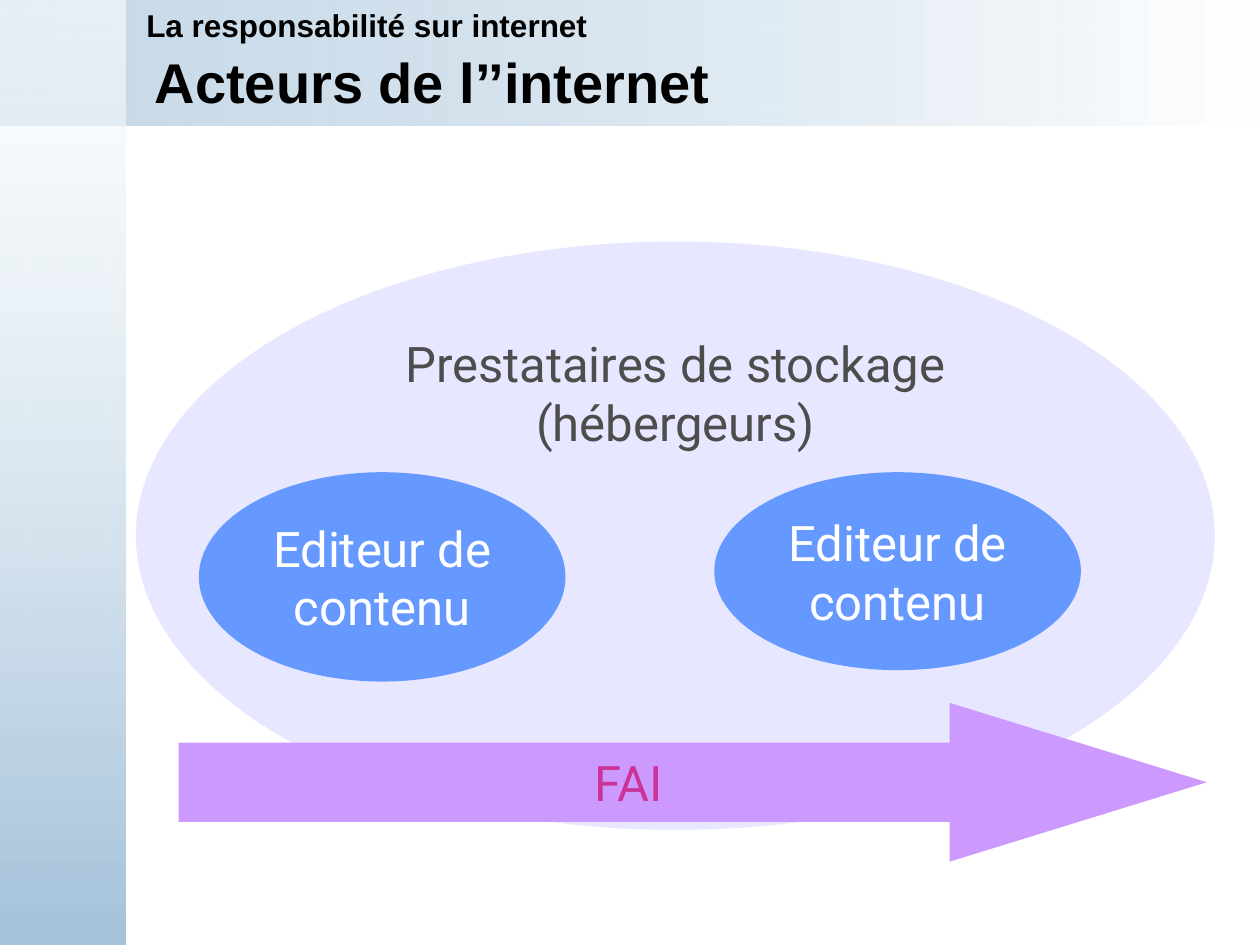
from lxml import etree
from pptx import Presentation
from pptx.dml.color import RGBColor
from pptx.enum.shapes import MSO_SHAPE
from pptx.enum.text import MSO_ANCHOR, PP_ALIGN
from pptx.oxml.ns import qn
from pptx.util import Cm, Pt

RECT, OVAL, ARROW = MSO_SHAPE.RECTANGLE, MSO_SHAPE.OVAL, MSO_SHAPE.RIGHT_ARROW
TOP, MIDDLE = MSO_ANCHOR.TOP, MSO_ANCHOR.MIDDLE
LEFT, CENTER = PP_ALIGN.LEFT, PP_ALIGN.CENTER

WIDTH, HEIGHT, BAND = 25.4, 19.05, 2.54
BAND_BLUE, WHITE = "A5C3DB", "FFFFFF"


def rgb(value):
    return RGBColor.from_string(value)


def set_alpha(fill_parent, percent):
    """Set the opacity of the first colour found below the element."""
    color = next(fill_parent.iter(qn("a:srgbClr")))
    etree.SubElement(color, qn("a:alpha")).set("val", str(percent * 1000))


def add_plain_shape(slide, kind, box):
    sp = slide.shapes.add_shape(kind, *map(Cm, box))
    sp.shadow.inherit = False
    sp.line.fill.background()
    return sp


def add_gradient_band(slide, box, colors, angle, start_alpha):
    sp = add_plain_shape(slide, RECT, box)
    sp.fill.gradient()
    sp.fill.gradient_angle = angle
    for stop, color, position in zip(sp.fill.gradient_stops, colors, (0, 1)):
        stop.color.rgb = rgb(color)
        stop.position = position
    set_alpha(sp.fill._xPr, start_alpha)


def write_text(sp, text, size, font, color, bold=False, align=CENTER,
               anchor=MIDDLE, wrap=True):
    tf = sp.text_frame
    tf.text = text
    tf.word_wrap = wrap
    tf.vertical_anchor = anchor
    for p in tf.paragraphs:
        p.alignment = align
        for r in p.runs:
            r.font.size = Pt(size)
            r.font.name = font
            r.font.bold = bold
            r.font.color.rgb = rgb(color)


def add_background(slide, width, height):
    add_gradient_band(slide, (0, 0, width, BAND), (BAND_BLUE, WHITE), 0, 62)
    add_gradient_band(slide, (0, 0, BAND, height), (WHITE, BAND_BLUE), 270, 59)


def add_header(slide, left, top, width):
    lines = (
        ("Acteurs de l’’internet", 32, 0.17, 0.91, 1.45, MIDDLE),
        ("La responsabilité sur internet", 18, 0, 0, 1.02, TOP),
    )
    for text, size, dx, dy, height, anchor in lines:
        box = (left + dx, top + dy, width - dx, height)
        sp = slide.shapes.add_textbox(*map(Cm, box))
        write_text(sp, text, size, "Arial", "000000", True, LEFT, anchor)


def add_actor(slide, kind, box, fill, text, color, anchor=MIDDLE, wrap=True):
    sp = add_plain_shape(slide, kind, box)
    sp.fill.solid()
    sp.fill.fore_color.rgb = rgb(fill)
    write_text(sp, text, 28, "Roboto", color, anchor=anchor, wrap=wrap)
    return sp


def add_actors_diagram(slide, left, top, width, height):
    hosts = add_actor(slide, OVAL, (left, top, width, height), "CCCCFF",
                      "Prestataires de stockage\n(hébergeurs)", "4D4D4D",
                      TOP, False)
    set_alpha(hosts.fill._xPr, 47)
    for dx, editor_height in ((11.66, 3.99), (1.27, 4.22)):
        box = (left + dx, top + 4.65, 7.39, editor_height)
        add_actor(slide, OVAL, box, "6699FF", "Editeur de contenu", WHITE)
    box = (left + 0.86, top + 9.3, 20.73, 3.2)
    provider = add_actor(slide, ARROW, box, "CC99FF", "FAI", "CC3399",
                         wrap=False)
    provider.adjustments[0] = 0.5
    provider.adjustments[1] = 1.62


def main():
    prs = Presentation()
    prs.slide_width, prs.slide_height = Cm(WIDTH), Cm(HEIGHT)
    s = prs.slides.add_slide(prs.slide_layouts[6])
    add_background(s, WIDTH, HEIGHT)
    add_header(s, 2.7, 0, WIDTH - 2.7)
    add_actors_diagram(s, 2.74, 4.87, 21.75, 11.86)
    prs.save("out.pptx")


if __name__ == "__main__":
    main()
